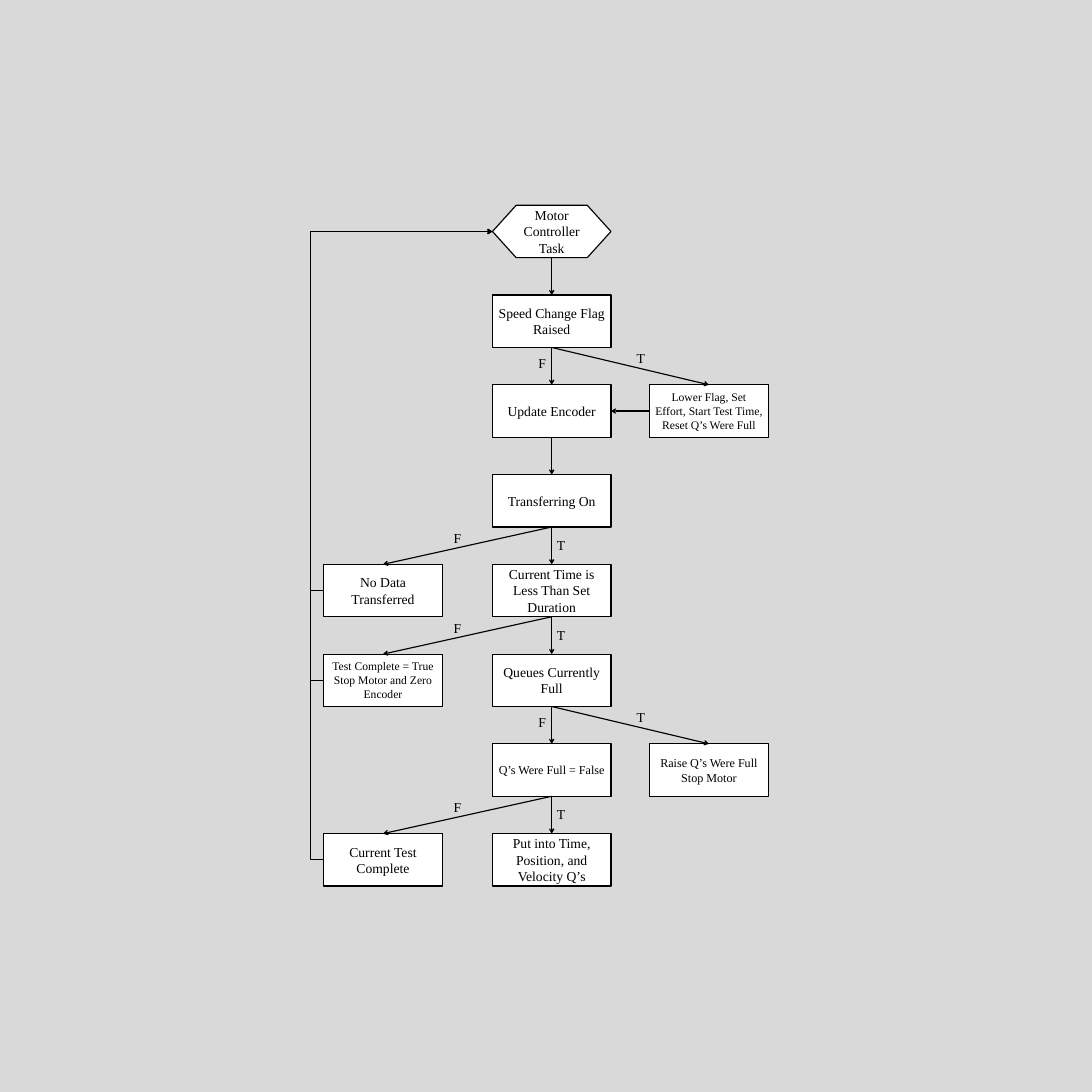
from pptx import Presentation
from pptx.dml.color import RGBColor
from pptx.enum.shapes import MSO_CONNECTOR, MSO_SHAPE
from pptx.enum.text import MSO_ANCHOR, PP_ALIGN
from pptx.oxml.ns import qn
from pptx.util import Inches, Pt
from lxml.etree import SubElement

WIDE, HIGH = 2.17, 0.96
MID, LEFT, RIGHT = 9.02, 5.93, 11.9
TOP, STEP, GAP = 3.76, 1.644, 0.25
NORTH, WEST, SOUTH, EAST = range(4)
INK, PAPER, BACK = "000000", "FFFFFF", "D9D9D9"

TRUNK = [
    ("Motor Controller Task", 18),
    ("Speed Change Flag Raised", 18),
    ("Update Encoder", 18),
    ("Transferring On", 18),
    ("Current Time is Less Than Set Duration", 18),
    ("Queues Currently Full", 18),
    ("Q’s Were Full = False", 16),
    ("Put into Time, Position, and Velocity Q’s", 18),
]
SIDES = [
    (2, RIGHT, "Lower Flag, Set Effort, Start Test Time, Reset Q’s Were Full", 15.3),
    (4, LEFT, "No Data Transferred", 18),
    (5, LEFT, "Test Complete = True\nStop Motor and Zero Encoder", 15.3),
    (6, RIGHT, "Raise Q’s Were Full\nStop Motor", 16),
    (7, LEFT, "Current Test Complete", 18),
]
MARKS = {
    RIGHT: [("T", 11.56, 0), ("F", 9.76, 0.08)],
    LEFT: [("T", 10.1, 0.13), ("F", 8.21, 0)],
}


def shade(code):
    """Turn a hex string into a colour."""
    return RGBColor.from_string(code)


def write(frame, text, size, align):
    """Fill a text frame, one paragraph per line."""
    frame.text = text
    frame.word_wrap = True
    for para in frame.paragraphs:
        para.alignment = align
        looks = {"name": "Times New Roman", "size": Pt(size)}
        for key, value in looks.items():
            setattr(para.font, key, value)
        para.font.color.rgb = shade(INK)


def stroke(line):
    """Give a line its black pen."""
    line.width = Pt(1.5)
    line.color.rgb = shade(INK)


def node(slide, x, row, text, size, kind=MSO_SHAPE.FLOWCHART_PROCESS):
    """Place one step of the flow at a column and a row."""
    place = map(Inches, (x, TOP + row * STEP, WIDE, HIGH))
    shape = slide.shapes.add_shape(kind, *place)
    shape.shadow.inherit = False
    shape.fill.solid()
    shape.fill.fore_color.rgb = shade(PAPER)
    stroke(shape.line)
    shape.text_frame.vertical_anchor = MSO_ANCHOR.MIDDLE
    write(shape.text_frame, text, size, PP_ALIGN.CENTER)
    return shape


def arrow(slide, kind, *ends):
    """Draw a connector with an arrowhead at its end."""
    wire = slide.shapes.add_connector(kind, *ends)
    stroke(wire.line)
    SubElement(wire.line._get_or_add_ln(), qn("a:tailEnd"), type="arrow")
    SubElement(wire._element.spPr, qn("a:effectLst"))
    return wire


def link(slide, start, out, end, into):
    """Join two steps with a straight arrow."""
    wire = arrow(slide, MSO_CONNECTOR.STRAIGHT, 0, 0, 0, 0)
    wire.begin_connect(start, out)
    wire.end_connect(end, into)


def loop(slide, start, head):
    """Lead a left step back to the head of the flow."""
    ends = (start.left, start.top + start.height // 2,
            head.left, head.top + head.height // 2)
    wire = arrow(slide, MSO_CONNECTOR.ELBOW, *ends)
    bend = round(-100000 * Inches(GAP) / (head.left - start.left))
    guides = wire._element.spPr.find(qn("a:prstGeom")).get_or_add_avLst()
    SubElement(guides, qn("a:gd"), name="adj1", fmla=f"val {bend}")


def mark(slide, text, x, y):
    """Label a branch as true or false."""
    box = slide.shapes.add_textbox(*map(Inches, (x, y, 0.35, 0.4)))
    write(box.text_frame, text, 18, PP_ALIGN.LEFT)


def trunk(slide):
    """Build the middle column and its downward arrows."""
    nodes = []
    for row, (text, size) in enumerate(TRUNK):
        kind = MSO_SHAPE.FLOWCHART_PROCESS if row else MSO_SHAPE.FLOWCHART_PREPARATION
        nodes.append(node(slide, MID, row, text, size, kind))
    for start, end in zip(nodes, nodes[1:]):
        link(slide, start, SOUTH, end, NORTH)
    return nodes


def branch(slide, nodes, row, x, text, size):
    """Add a side step with its arrows and labels."""
    side = node(slide, x, row, text, size)
    link(slide, nodes[row - 1], SOUTH, side, NORTH)
    base = TOP + (row - 1) * STEP + HIGH
    for label, spot, drop in MARKS[x]:
        mark(slide, label, spot, base + drop)
    if x == LEFT:
        loop(slide, side, nodes[0])
    return side


def main():
    """Build the flow chart and save it."""
    deck = Presentation()
    deck.slide_width = deck.slide_height = Inches(20)
    slide = deck.slides.add_slide(deck.slide_layouts[6])
    slide.background.fill.solid()
    slide.background.fill.fore_color.rgb = shade(BACK)
    nodes = trunk(slide)
    sides = [branch(slide, nodes, *side) for side in SIDES]
    link(slide, sides[0], WEST, nodes[2], EAST)
    deck.save("out.pptx")


if __name__ == "__main__":
    main()
